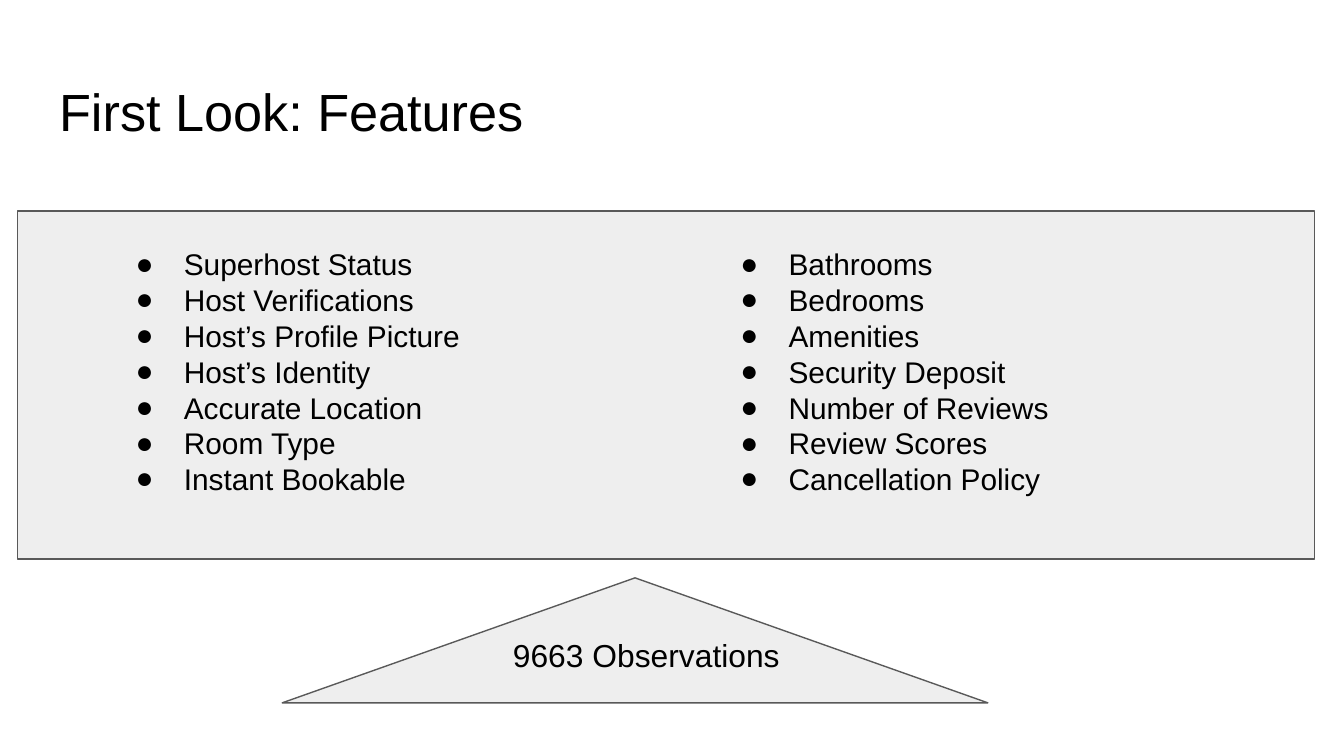
from pptx import Presentation
from pptx.dml.color import RGBColor
from pptx.enum.shapes import MSO_SHAPE
from pptx.enum.text import MSO_ANCHOR, PP_ALIGN
from pptx.oxml.ns import qn
from pptx.util import Inches, Pt
from lxml import etree

FONT = "Arial"
BLACK = "000000"
PANEL_FILL = "EEEEEE"
PANEL_LINE = "595959"

HOST_FEATURES = [
    "Superhost Status",
    "Host Verifications",
    "Host’s Profile Picture",
    "Host’s Identity",
    "Accurate Location",
    "Room Type",
    "Instant Bookable",
]
LISTING_FEATURES = [
    "Bathrooms",
    "Bedrooms",
    "Amenities",
    "Security Deposit",
    "Number of Reviews",
    "Review Scores",
    "Cancellation Policy",
]


def color(value):
    return RGBColor.from_string(value)


def format_paragraph(paragraph, size, alignment=PP_ALIGN.LEFT):
    paragraph.alignment = alignment
    for run in paragraph.runs:
        run.font.name = FONT
        run.font.size = Pt(size)
        run.font.color.rgb = color(BLACK)


def prepare_frame(text_frame):
    text_frame.word_wrap = True
    text_frame.vertical_anchor = MSO_ANCHOR.TOP
    text_frame.margin_left = text_frame.margin_right = Inches(0.1)
    text_frame.margin_top = text_frame.margin_bottom = Inches(0.1)


def set_title(slide, text):
    title = slide.shapes.title
    title.left, title.top = Inches(0.34), Inches(0.49)
    title.width, title.height = Inches(9.32), Inches(0.63)
    prepare_frame(title.text_frame)
    title.text_frame.text = text
    format_paragraph(title.text_frame.paragraphs[0], 28)


def add_panel(slide, kind, left, top, width, height):
    shape = slide.shapes.add_shape(
        kind, Inches(left), Inches(top), Inches(width), Inches(height)
    )
    shape.shadow.inherit = False
    shape.fill.solid()
    shape.fill.fore_color.rgb = color(PANEL_FILL)
    shape.line.color.rgb = color(PANEL_LINE)
    shape.line.width = Pt(0.75)


def add_text(slide, text, left, top, width, height, size, alignment=PP_ALIGN.LEFT):
    box = slide.shapes.add_textbox(
        Inches(left), Inches(top), Inches(width), Inches(height)
    )
    prepare_frame(box.text_frame)
    box.text_frame.text = text
    for paragraph in box.text_frame.paragraphs:
        format_paragraph(paragraph, size, alignment)
    return box


def add_bullet(paragraph):
    properties = paragraph._p.get_or_add_pPr()
    properties.set("marL", str(Inches(0.5)))
    properties.set("indent", str(Inches(-0.36)))
    bullet_color = etree.SubElement(properties, qn("a:buClr"))
    etree.SubElement(bullet_color, qn("a:srgbClr"), val=BLACK)
    etree.SubElement(properties, qn("a:buFont"), typeface=FONT)
    etree.SubElement(properties, qn("a:buChar"), char="●")


def add_feature_list(slide, features, left, width, height):
    box = add_text(slide, "\n".join(features), left, 1.73, width, height, 16)
    for paragraph in box.text_frame.paragraphs:
        add_bullet(paragraph)


def main():
    presentation = Presentation()
    presentation.slide_width = Inches(10)
    presentation.slide_height = presentation.slide_width * 9 // 16
    slide = presentation.slides.add_slide(presentation.slide_layouts[5])

    set_title(slide, "First Look: Features")
    add_panel(slide, MSO_SHAPE.ISOSCELES_TRIANGLE, 2.1, 4.3, 5.25, 0.93)
    add_text(
        slide, "9663 Observations", 2.96, 4.63, 3.7, 0.84, 17, PP_ALIGN.CENTER
    )
    add_panel(slide, MSO_SHAPE.RECTANGLE, 0.13, 1.57, 9.65, 2.59)
    add_feature_list(slide, HOST_FEATURES, 0.77, 4.31, 2.99)
    add_feature_list(slide, LISTING_FEATURES, 5.27, 5.36, 2.29)

    presentation.save("out.pptx")


if __name__ == "__main__":
    main()
